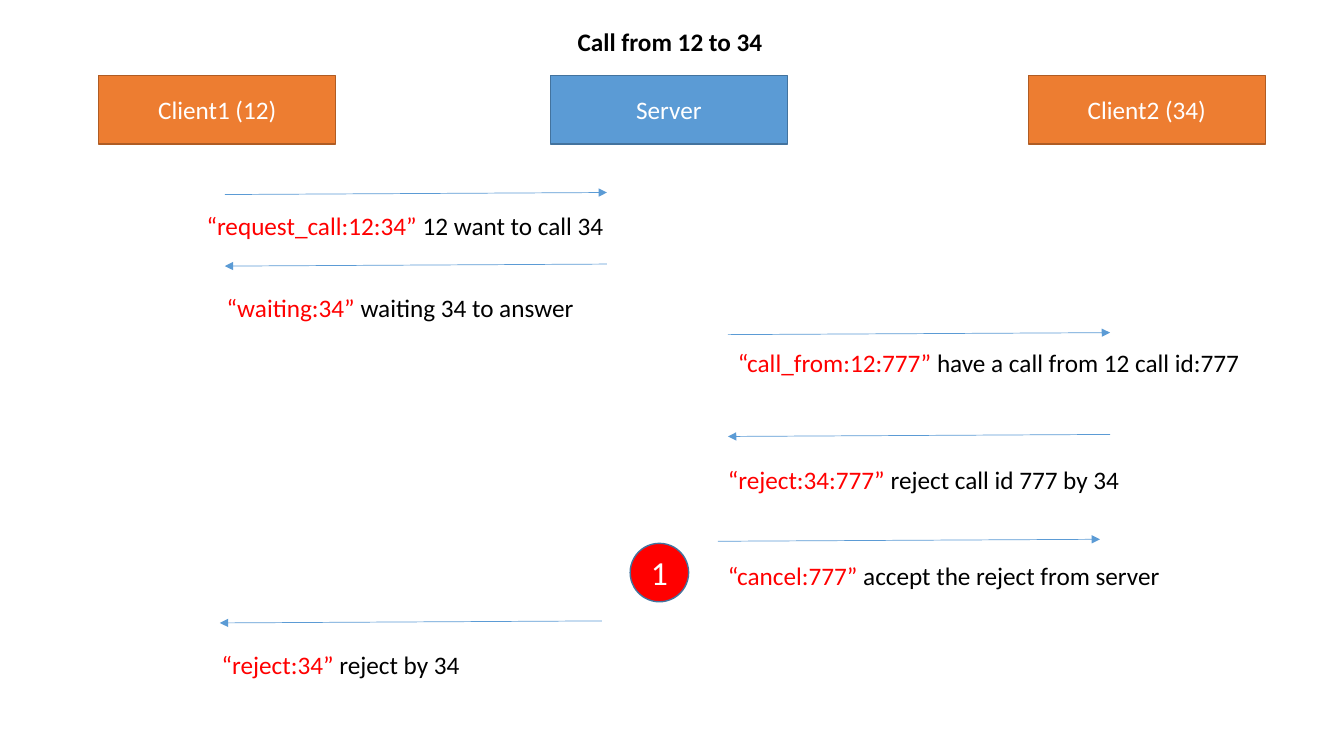
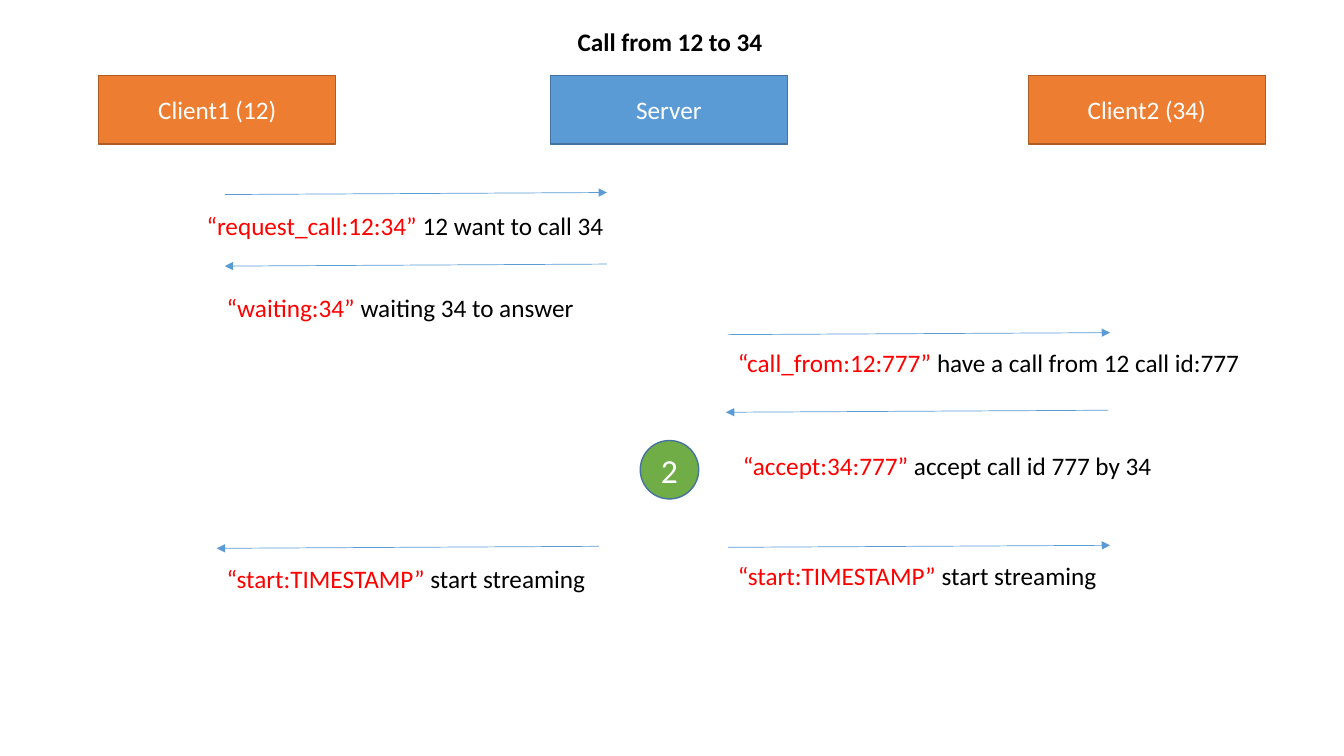
from typing import NamedTuple

from lxml.etree import SubElement
from pptx import Presentation
from pptx.dml.color import RGBColor
from pptx.enum.shapes import MSO_CONNECTOR as Connector, MSO_SHAPE as Shape
from pptx.enum.text import MSO_ANCHOR as Anchor, PP_ALIGN as Align
from pptx.oxml.ns import qn
from pptx.util import Inches, Pt

# Shared style
COLORS = {
    "client": "ED7D31", "client_edge": "AF5C24",
    "server": "5B9BD5", "server_edge": "43739E",
    "rejected": "FF0000", "accepted": "70AD47",
    "code": "FF0000", "text": "000000", "white": "FFFFFF",
}
FONT = "Calibri"
TITLE = "Call from 12 to 34"
PARTY_TOP, PARTY_WIDTH, PARTY_HEIGHT = 0.75, 2.35, 0.68
ARROW_LENGTH, ARROW_RISE = 3.79, 0.02
LABEL_HEIGHT = 0.4
BADGE_SIZE = 0.58


class Message(NamedTuple):
    """One arrow (left end, top, direction) and the label below it."""
    arrow_left: float
    arrow_top: float
    to_right: bool
    label_left: float
    label_top: float
    label_width: float
    code: str
    note: str


# Name, left edge, colour role
PARTIES = [
    ("Client1 (12)", 0.98, "client"),
    ("Server", 5.46, "server"),
    ("Client2 (34)", 10.2, "client"),
]

# Messages that open every call
OPENING = [
    Message(2.23, 1.91, True, 1.95, 2.04, 4.18,
            "“request_call:12:34”", "12 want to call 34"),
    Message(2.23, 2.62, False, 2.15, 2.85, 4.88,
            "“waiting:34”", "waiting 34 to answer"),
    Message(7.22, 3.3, True, 7.22, 3.4, 5.36,
            "“call_from:12:777”", "have a call from 12 call id:777"),
]
REJECTION = [
    Message(7.22, 4.31, False, 7.12, 4.56, 4.88,
            "“reject:34:777”", "reject call id 777 by 34"),
    Message(7.12, 5.35, True, 7.12, 5.51, 4.54,
            "“cancel:777”", "accept the reject from server"),
    Message(2.18, 6.16, False, 2.1, 6.39, 4.88,
            "“reject:34”", "reject by 34"),
]
ACCEPTANCE = [
    Message(7.2, 4.07, False, 7.27, 4.42, 4.88,
            "“accept:34:777”", "accept call id 777 by 34"),
    Message(7.22, 5.41, True, 7.22, 5.51, 3.79,
            "“start:TIMESTAMP”", "start streaming"),
    Message(2.15, 5.42, False, 2.15, 5.54, 3.79,
            "“start:TIMESTAMP”", "start streaming"),
]


def rgb(role):
    return RGBColor.from_string(COLORS[role])


def write(frame, *parts, size=18, bold=False, align=Align.LEFT,
          anchor=Anchor.TOP, wrap=True):
    """Fill a text frame with (text, colour role) parts on one line."""
    frame.word_wrap = wrap
    frame.vertical_anchor = anchor
    paragraph = frame.paragraphs[0]
    paragraph.alignment = align
    for text, role in parts:
        run = paragraph.add_run()
        run.text = text
        run.font.name = FONT
        run.font.size = Pt(size)
        run.font.bold = bold
        run.font.color.rgb = rgb(role)


def add_title(slide):
    title = slide.shapes.title
    title.left, title.top = Inches(5.62), Inches(0.21)
    title.width, title.height = Inches(2.05), Inches(LABEL_HEIGHT)
    write(title.text_frame, (TITLE, "text"), bold=True, align=Align.CENTER,
          anchor=Anchor.MIDDLE, wrap=False)


def add_node(slide, kind, left, top, width, height, text, fill, edge, size=18):
    node = slide.shapes.add_shape(
        kind, Inches(left), Inches(top), Inches(width), Inches(height))
    node.shadow.inherit = False
    node.fill.solid()
    node.fill.fore_color.rgb = rgb(fill)
    node.line.color.rgb = rgb(edge)
    node.line.width = Pt(1)
    write(node.text_frame, (text, "white"), size=size, align=Align.CENTER,
          anchor=Anchor.MIDDLE)


def add_arrow(slide, start, end):
    arrow = slide.shapes.add_connector(
        Connector.STRAIGHT, *(Inches(value) for value in (*start, *end)))
    arrow.line.color.rgb = rgb("server")
    arrow.line.width = Pt(0.5)
    SubElement(arrow.line._get_or_add_ln(), qn("a:tailEnd"), type="triangle")
    SubElement(arrow._element.spPr, qn("a:effectLst"))


def add_message(slide, message):
    # Every arrow is slightly higher at its right end
    left_end = (message.arrow_left, message.arrow_top + ARROW_RISE)
    right_end = (message.arrow_left + ARROW_LENGTH, message.arrow_top)
    if message.to_right:
        add_arrow(slide, left_end, right_end)
    else:
        add_arrow(slide, right_end, left_end)
    label = slide.shapes.add_textbox(
        Inches(message.label_left), Inches(message.label_top),
        Inches(message.label_width), Inches(LABEL_HEIGHT))
    write(label.text_frame, (message.code + " ", "code"),
          (message.note, "text"))


def add_call_slide(deck, outcome, number, badge_left, badge_top, badge_color):
    slide = deck.slides.add_slide(deck.slide_layouts[5])
    add_title(slide)
    for name, left, role in PARTIES:
        add_node(slide, Shape.RECTANGLE, left, PARTY_TOP, PARTY_WIDTH,
                 PARTY_HEIGHT, name, role, role + "_edge")
    for message in OPENING + outcome:
        add_message(slide, message)
    add_node(slide, Shape.OVAL, badge_left, badge_top, BADGE_SIZE, BADGE_SIZE,
             number, badge_color, "server_edge", size=24)


def main():
    deck = Presentation()
    deck.slide_width, deck.slide_height = Inches(13.33), Inches(7.5)
    add_call_slide(deck, REJECTION, "1", 6.25, 5.39, "rejected")
    add_call_slide(deck, ACCEPTANCE, "2", 6.35, 4.37, "accepted")
    deck.save("out.pptx")


if __name__ == "__main__":
    main()
